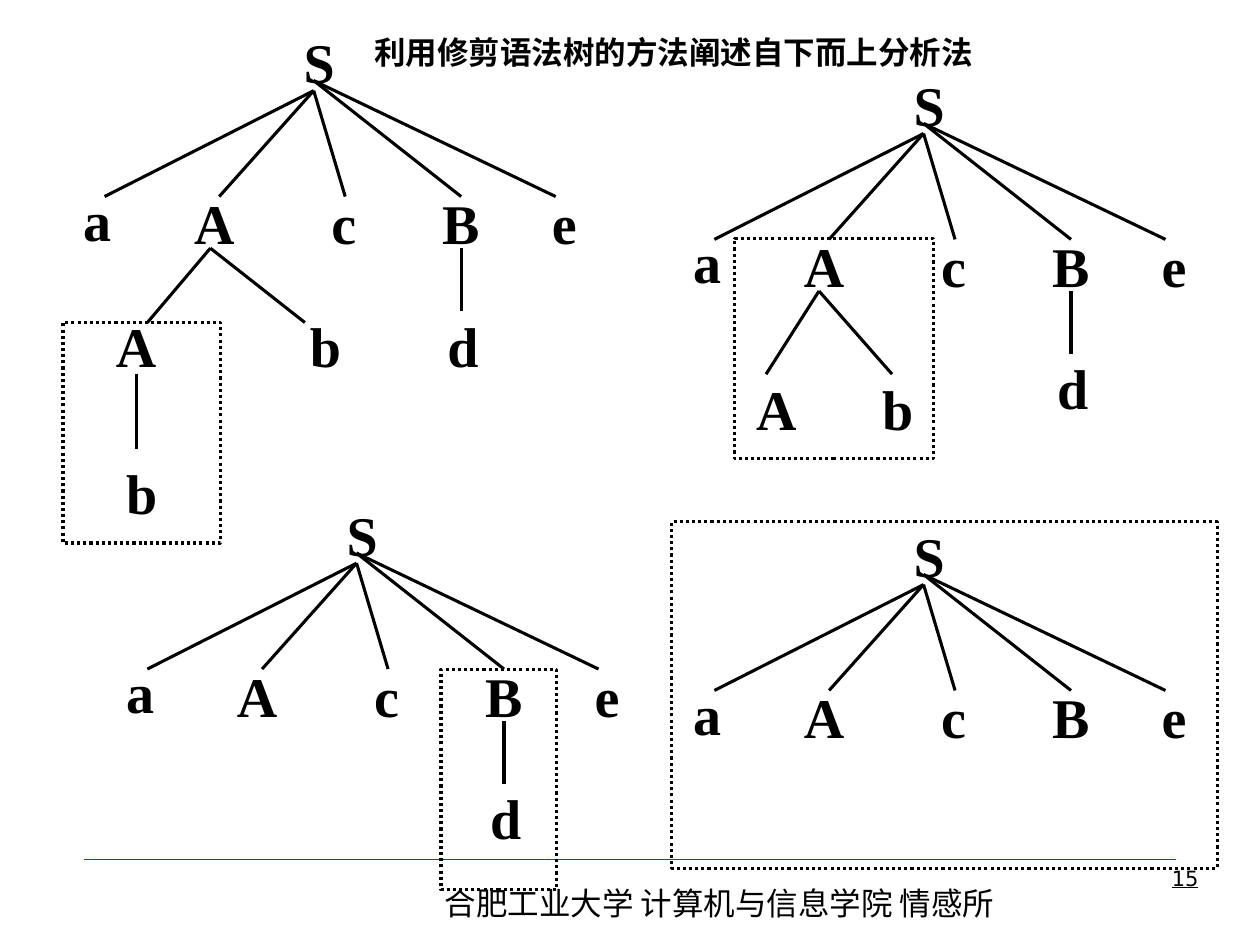
import pptx
import pptx.util
import pptx.dml.color
import pptx.enum.dml
import pptx.enum.shapes
import pptx.enum.text
import pptx.oxml
import pptx.oxml.ns

Inches = pptx.util.Inches
Pt = pptx.util.Pt
BLACK = "000000"
LETTER_WIDTHS = {"S": 0.25, "A": 0.32, "B": 0.3, "a": 0.22, "b": 0.25, "c": 0.2, "d": 0.25, "e": 0.2}
TREE_NODES = [("S", 1.75, 0), ("a", 0, 1.25), ("A", 0.88, 1.28), ("c", 1.97, 1.28),
              ("B", 2.85, 1.28), ("e", 3.72, 1.28)]
TREE_EDGES = [(1.83, 0.5, 0.17, 1.34), (1.83, 0.5, 1.08, 1.34), (1.83, 0.5, 2.08, 1.34),
              (1.83, 0.42, 3, 1.34), (1.83, 0.42, 3.75, 1.34)]
D_NODES = [("d", 2.89, 2.25)]
D_EDGES = [(3, 1.75, 3, 2.25)]


def set_color(color_format, value):
    color_format.rgb = pptx.dml.color.RGBColor.from_string(value)


def add_line(shapes, start_x, start_y, end_x, end_y, color=BLACK, width=1.75):
    line = shapes.add_connector(pptx.enum.shapes.MSO_CONNECTOR.STRAIGHT,
                                Inches(start_x), Inches(start_y), Inches(end_x), Inches(end_y))
    set_color(line.line.color, color)
    line.line.width = Pt(width)
    line._element.spPr.append(pptx.oxml.parse_xml(
        "<a:effectLst %s/>" % pptx.oxml.ns.nsdecls("a")))


def write(box, text, size, font, align, inset=(0.1, 0.05), bold=False, underline=False):
    frame = box.text_frame
    frame.vertical_anchor = pptx.enum.text.MSO_ANCHOR.TOP
    frame.margin_left = frame.margin_right = Inches(inset[0])
    frame.margin_top = frame.margin_bottom = Inches(inset[1])
    para = frame.paragraphs[0]
    para.alignment = align
    span = para.add_run()
    span.text = text
    span.font.size = Pt(size)
    span.font.name = font
    span.font.bold = bold
    span.font.underline = underline
    set_color(span.font.color, BLACK)


def add_text_box(shapes, left, top, width, height, text, size, font, align, wrap=True, **style):
    box = shapes.add_textbox(Inches(left), Inches(top), Inches(width), Inches(height))
    write(box, text, size, font, align, **style)
    box.text_frame.word_wrap = wrap
    return box


def add_tree(page, left, top, extra_nodes=(), extra_edges=()):
    shapes = page.shapes.add_group_shape().shapes
    for letter, x, y in [*TREE_NODES, *extra_nodes]:
        box = add_text_box(shapes, left + x, top + y, LETTER_WIDTHS[letter], 0.53, letter, 32,
                           "Times New Roman", pptx.enum.text.PP_ALIGN.JUSTIFY,
                           wrap=False, inset=(0, 0), bold=True)
        box.text_frame.auto_size = pptx.enum.text.MSO_AUTO_SIZE.SHAPE_TO_FIT_TEXT
    for start_x, start_y, end_x, end_y in [*TREE_EDGES, *extra_edges]:
        add_line(shapes, left + start_x, top + start_y, left + end_x, top + end_y)


def add_handle_frame(page, left, top, width, height):
    frame = page.shapes.add_shape(pptx.enum.shapes.MSO_SHAPE.RECTANGLE,
                                  Inches(left), Inches(top), Inches(width), Inches(height))
    frame.shadow.inherit = False
    frame.fill.background()
    set_color(frame.line.color, BLACK)
    frame.line.width = Pt(1.75)
    frame.line.dash_style = pptx.enum.dml.MSO_LINE.ROUND_DOT


def add_title(page, left, top, width, height):
    title = page.shapes.title
    title.left, title.top = Inches(left), Inches(top)
    title.width, title.height = Inches(width), Inches(height)
    write(title, "利用修剪语法树的方法阐述自下而上分析法", 18, "DejaVu Sans",
          pptx.enum.text.PP_ALIGN.LEFT, bold=True)
    title.text_frame.auto_size = pptx.enum.text.MSO_AUTO_SIZE.NONE


def add_footer(page, left, top, width):
    add_line(page.shapes, left, top, left + width, top, color="CC0000", width=0.25)
    add_text_box(page.shapes, left + 2.76, top + 0.15, 4.8, 0.4,
                 "合肥工业大学 计算机与信息学院 情感所", 18, "Noto Sans CJK SC",
                 pptx.enum.text.PP_ALIGN.LEFT)
    add_text_box(page.shapes, left + 6.77, top, 2.17, 0.52, "15", 12, "DejaVu Sans",
                 pptx.enum.text.PP_ALIGN.RIGHT, underline=True)


def main():
    deck = pptx.Presentation()
    deck.slide_width, deck.slide_height = Inches(10), Inches(7.5)
    page = deck.slides.add_slide(deck.slide_layouts[5])
    add_footer(page, 0.67, 6.82, 8.66)

    add_tree(page, 0.66, 0.22,
             D_NODES + [("A", 0.26, 2.25), ("b", 1.8, 2.25), ("b", 0.34, 3.42)],
             D_EDGES + [(1.01, 1.75, 0.51, 2.34), (1.01, 1.75, 1.76, 2.34),
                        (0.42, 2.75, 0.42, 3.34)])
    add_handle_frame(page, 0.5, 2.56, 1.25, 1.75)

    add_tree(page, 5.5, 0.56,
             D_NODES + [("A", 0.5, 2.41), ("b", 1.5, 2.41)],
             D_EDGES + [(1, 1.75, 0.58, 2.41), (1, 1.75, 1.58, 2.41)])
    add_handle_frame(page, 5.83, 1.89, 1.58, 1.75)

    add_tree(page, 1, 3.97, D_NODES, D_EDGES)
    add_handle_frame(page, 3.5, 5.31, 0.92, 1.75)

    add_handle_frame(page, 5.33, 4.14, 4.33, 2.75)
    add_tree(page, 5.5, 4.14)

    add_title(page, 2.87, 0.21, 5.12, 0.4)
    deck.save("out.pptx")


if __name__ == "__main__":
    main()
